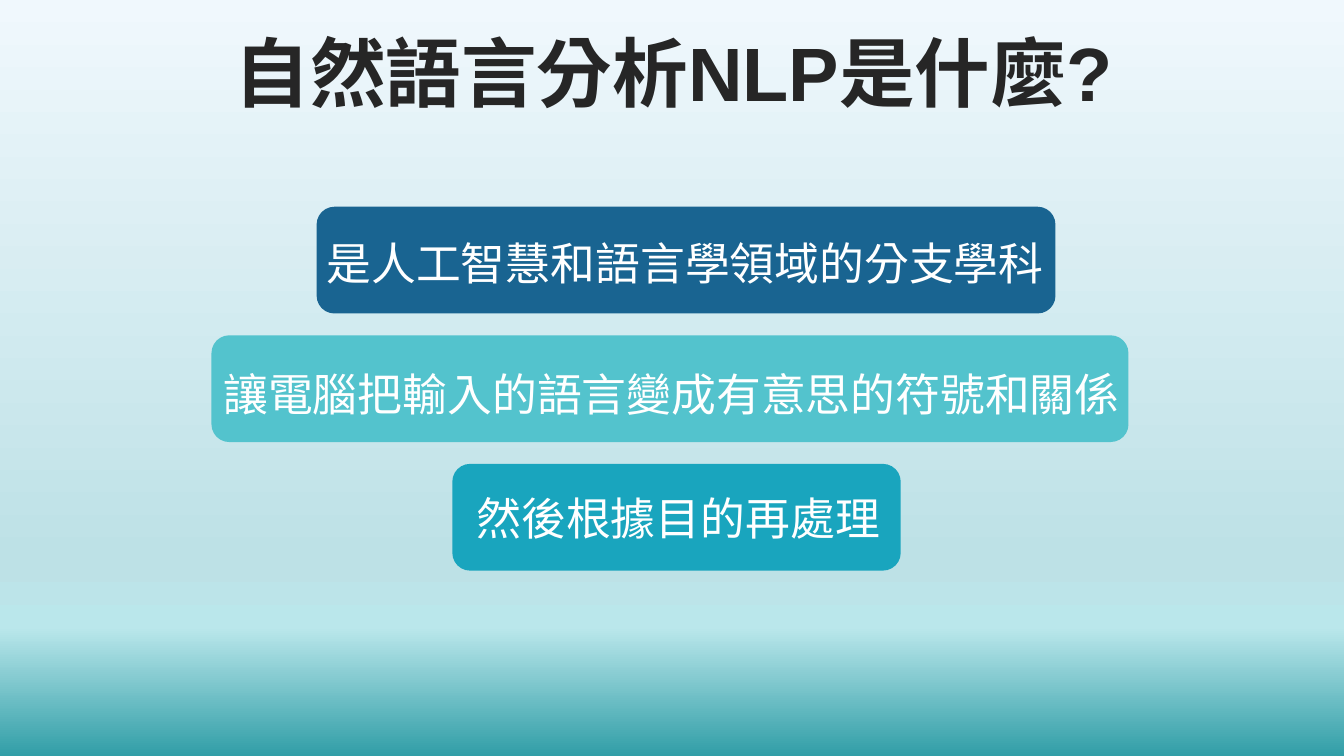
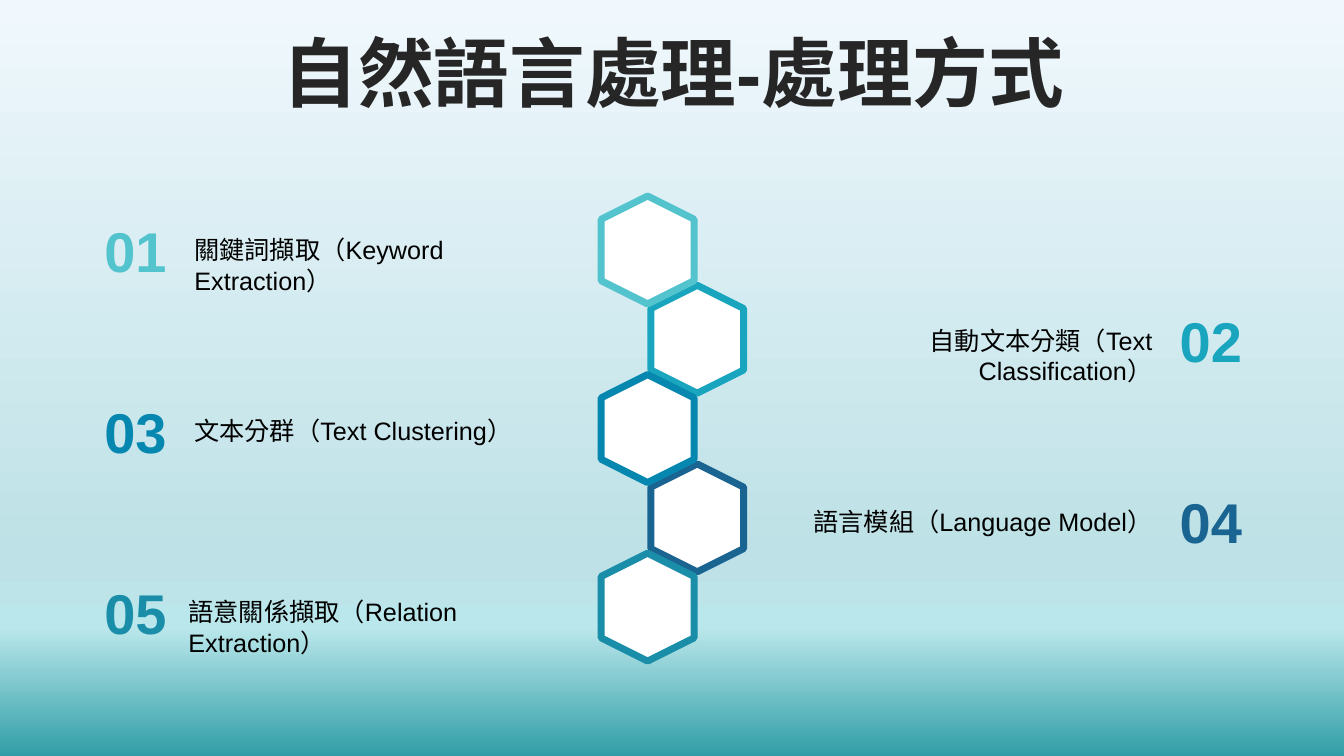
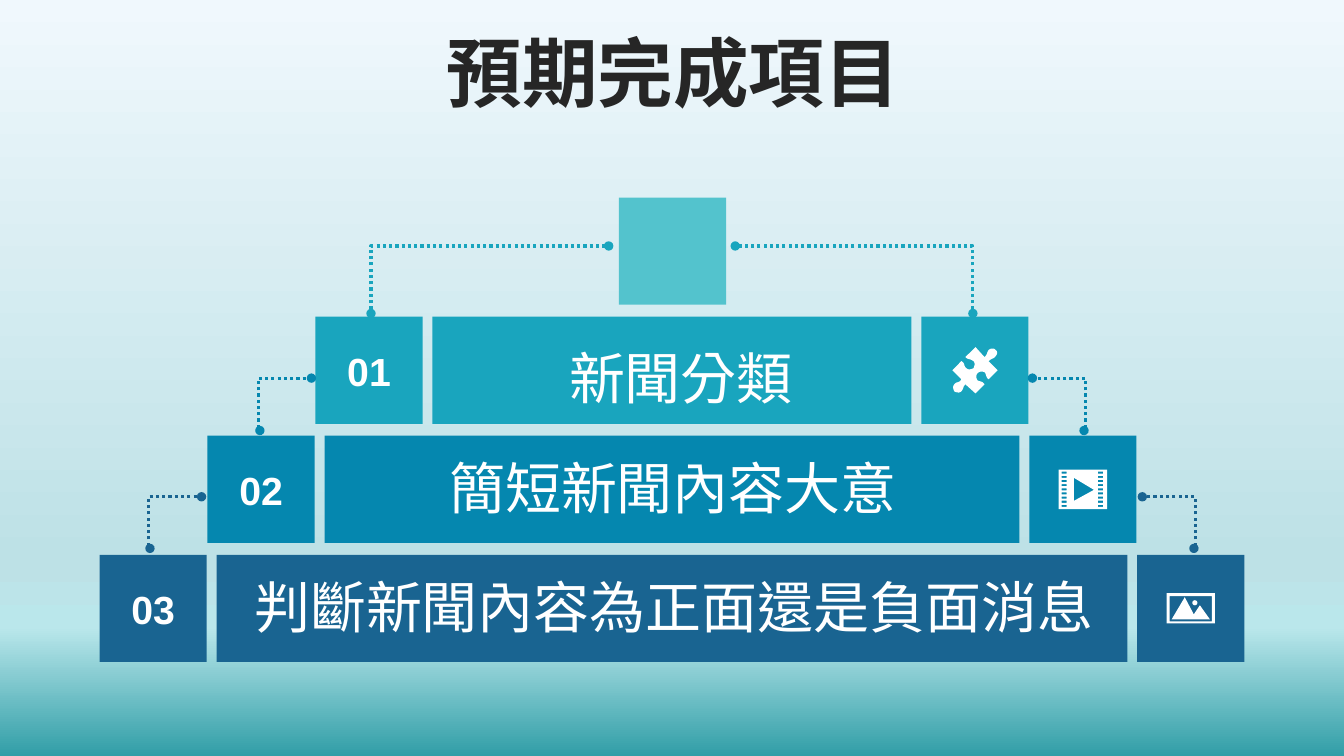
from dataclasses import dataclass
from math import cos, pi, sin
from typing import Any

from lxml import etree
from pptx import Presentation
from pptx import util as u
from pptx.dml.color import RGBColor
from pptx.enum import dml, lang, shapes, text
from pptx.oxml.ns import qn

# Shared look
COLORS = {
    "ink": "262626",
    "black": "000000",
    "white": "FFFFFF",
    "aqua": "53C3CD",
    "cyan": "19A5BE",
    "blue": "0587AF",
    "navy": "196491",
    "teal": "1A8EA9",
}
BACKGROUND_STOPS = {0: "F0F8FD", 74: "BDE1E6", 83: "BAE7EB", 100: "319EA7"}
FONT = "Arial"
SLIDE_WIDTH, SLIDE_HEIGHT = 33.87, 19.05

LEFT, CENTER, RIGHT = text.PP_ALIGN.LEFT, text.PP_ALIGN.CENTER, text.PP_ALIGN.RIGHT
TOP, MIDDLE = text.MSO_ANCHOR.TOP, text.MSO_ANCHOR.MIDDLE
GROW = text.MSO_AUTO_SIZE.SHAPE_TO_FIT_TEXT
RECTANGLE = shapes.MSO_SHAPE.RECTANGLE

Point = tuple[float, ...]


@dataclass(frozen=True)
class Box:
    """Left, top, width and height in centimetres."""
    left: float
    top: float
    width: float
    height: float

    def lengths(self) -> list[u.Length]:
        return [u.Cm(n) for n in (self.left, self.top, self.width, self.height)]


@dataclass(frozen=True)
class TextStyle:
    size: float
    color: str
    bold: bool = False
    align: Any = LEFT
    anchor: Any = TOP


TITLE = TextStyle(54, "ink", True, CENTER, MIDDLE)
BAR_TEXT = TextStyle(32, "white", anchor=MIDDLE)
ROW_TEXT = TextStyle(40, "white", align=CENTER)
ROW_NUMBER = TextStyle(28, "white", True, CENTER, MIDDLE)


def rgb(color: str) -> RGBColor:
    return RGBColor.from_string(COLORS[color])


def apply_format(target: Any, values: dict[str, Any]) -> None:
    for name, value in values.items():
        setattr(target, name, value)


def add_text(slide: Any, box: Box, words: str, style: TextStyle, grow: bool = True) -> Any:
    """Add a text box with one paragraph and return the paragraph."""
    frame = slide.shapes.add_textbox(*box.lengths()).text_frame
    apply_format(frame, {
        "word_wrap": True,
        "vertical_anchor": style.anchor,
        "auto_size": GROW if grow else text.MSO_AUTO_SIZE.NONE,
    })
    paragraph = frame.paragraphs[0]
    paragraph.alignment = style.align
    run = paragraph.add_run()
    run.text = words
    apply_format(run.font, {
        "size": u.Pt(style.size),
        "bold": style.bold,
        "name": FONT,
        "language_id": lang.MSO_LANGUAGE_ID.TRADITIONAL_CHINESE,
    })
    run.font.color.rgb = rgb(style.color)
    etree.SubElement(run.font._element, qn("a:ea"), typeface=FONT)
    return paragraph


def paint(shape: Any, fill: str, line: str | None = None) -> None:
    shape.shadow.inherit = False
    shape.fill.solid()
    shape.fill.fore_color.rgb = rgb(fill)
    if line:
        shape.line.color.rgb = rgb(line)
        shape.line.width = u.Pt(5)
    else:
        shape.line.fill.background()


def add_block(slide: Any, kind: Any, box: Box, fill: str, line: str | None = None) -> Any:
    shape = slide.shapes.add_shape(kind, *box.lengths())
    paint(shape, fill, line)
    return shape


def set_background(master: Any) -> None:
    fill = master.background.fill
    fill.gradient()
    fill.gradient_angle = 270
    stops = next(master.element.iter(qn("a:gsLst")))
    stops.clear()
    for percent, color in BACKGROUND_STOPS.items():
        stop = etree.SubElement(stops, qn("a:gs"), pos=str(percent * 1000))
        etree.SubElement(stop, qn("a:srgbClr"), val=color)


def add_titled_slide(presentation: Any, title: str) -> Any:
    slide = presentation.slides.add_slide(presentation.slide_layouts[6])
    paragraph = add_text(slide, Box(0.89, 0.94, 32.16, 2), title, TITLE, grow=False)
    apply_format(paragraph, {"line_spacing": 0.9, "space_before": u.Pt(10)})
    return slide


# Slide 1: three statements
@dataclass(frozen=True)
class Statement:
    words: str
    color: str
    left: float
    width: float
    text_left: float
    text_width: float
    text_drop: float


STATEMENTS = (
    Statement("是人工智慧和語言學領域的分支學科", "navy", 7.98, 18.62, 7.98, 18.62, 0.58),
    Statement("讓電腦把輸入的語言變成有意思的符號和關係", "aqua", 5.33, 23.11, 5.38, 23.34, 0.66),
    Statement("然後根據目的再處理", "cyan", 11.4, 11.3, 11.76, 10.95, 0.53),
)


def build_definition(presentation: Any) -> None:
    slide = add_titled_slide(presentation, "自然語言分析NLP是什麼?")
    for index, item in enumerate(STATEMENTS):
        top = 5.21 + 3.24 * index
        add_block(slide, shapes.MSO_SHAPE.ROUNDED_RECTANGLE,
                  Box(item.left, top, item.width, 2.69), item.color)
        add_text(slide, Box(item.text_left, top + item.text_drop, item.text_width, 1.63),
                 item.words, BAR_TEXT)


# Slide 2: five methods along a chain of hexagons
@dataclass(frozen=True)
class Method:
    words: str
    color: str
    label_left: float
    label_width: float


METHODS = (
    Method("關鍵詞擷取（Keyword Extraction）", "aqua", 4.65, 10.11),
    Method("自動文本分類（Text Classification）", "cyan", 19.23, 10.06),
    Method("文本分群（Text Clustering）", "blue", 4.65, 10.11),
    Method("語言模組（Language Model）", "navy", 19.23, 10.06),
    Method("語意關係擷取（Relation Extraction）", "teal", 4.5, 10.49),
)


def build_methods(presentation: Any) -> None:
    slide = add_titled_slide(presentation, "自然語言處理-處理方式")
    # The right column lies behind the left one
    for index in (3, 1, 2, 0, 4):
        left = 16.21 if index % 2 else 14.96
        hexagon = add_block(slide, shapes.MSO_SHAPE.HEXAGON,
                            Box(left, 5.13 + 2.25 * index, 2.72, 2.34),
                            "white", METHODS[index].color)
        hexagon.rotation = 90
    for index, method in enumerate(METHODS):
        on_right = index % 2 == 1
        top = 5.33 + 2.28 * index
        add_text(slide, Box(29.46 if on_right else 2.36, top, 2.11, 1.96),
                 f"{index + 1:02}", TextStyle(40, method.color, True, CENTER))
        add_text(slide, Box(method.label_left, top + 0.46, method.label_width, 1.02),
                 method.words, TextStyle(18, "black", align=RIGHT if on_right else LEFT))


# Icon outlines, in hundredths of an inch
ICON_UNIT = u.Cm(2.54) / 100


def rectangle(left: float, top: float, right: float, bottom: float) -> list[Point]:
    return [(left, top), (right, top), (right, bottom), (left, bottom)]


def circle(x: float, y: float, radius: float, steps: int = 24) -> list[Point]:
    angles = [2 * pi * step / steps for step in range(steps)]
    return [(x + radius * cos(angle), y + radius * sin(angle)) for angle in angles]


def trace(outline: tuple[Point, ...], steps: int = 8) -> list[Point]:
    """Points with two numbers are corners, with six are cubic curves."""
    points: list[Point] = []
    for entry in outline:
        if len(entry) == 2:
            points.append(entry)
            continue
        knots = (points[-1], entry[:2], entry[2:4], entry[4:])
        for step in range(1, steps + 1):
            t = step / steps
            weights = ((1 - t) ** 3, 3 * t * (1 - t) ** 2, 3 * t * t * (1 - t), t ** 3)
            points.append(tuple(
                sum(weight * knot[axis] for weight, knot in zip(weights, knots))
                for axis in (0, 1)))
    return points


PUZZLE = [trace((
    (43, 3), (45, 4, 45, 7, 43, 9), (41, 12, 39, 11, 36, 14), (45, 23), (36, 32),
    (33, 30, 34, 27, 32, 25), (30, 24, 27, 24, 25, 26), (24, 27, 23, 30, 25, 33),
    (28, 35, 29, 33, 32, 37), (23, 46), (13, 37), (10, 40, 12, 40, 9, 44),
    (7, 46, 4, 45, 2, 44), (1, 42, 0, 39, 2, 37), (4, 34, 7, 36, 9, 32), (0, 23),
    (9, 14), (13, 16, 11, 19, 14, 21), (16, 23, 19, 22, 21, 21),
    (22, 19, 23, 16, 21, 14), (17, 11, 16, 13, 13, 10), (23, 0), (32, 10),
    (35, 7, 34, 6, 36, 3), (38, 1, 42, 1, 43, 3),
))]
FILM = [
    rectangle(0, 0, 48, 39),
    [(15, 8), (15, 31), (35, 20)],
    *(rectangle(x, 2 + 4.12 * hole, x + 5, 4 + 4.12 * hole)
      for x in (3, 39) for hole in range(9)),
]
LANDSCAPE = [
    rectangle(0, 0, 48, 30),
    rectangle(3, 3, 45, 28),
    [(18, 4), (27, 21), (33, 12), (43, 26), (5, 26)],
    circle(28, 9.5, 2.5),
]


def add_icon(slide: Any, square: Box, contours: list[list[Point]]) -> None:
    """Draw the contours as one white shape in the middle of the square."""
    scaled = [[(x * ICON_UNIT, y * ICON_UNIT) for x, y in points] for points in contours]
    width, height = (max(point[axis] for points in scaled for point in points)
                     for axis in (0, 1))
    builder = slide.shapes.build_freeform(*scaled[0][0])
    for number, points in enumerate(scaled):
        if number:
            builder.move_to(*points[0])
        builder.add_line_segments(points[1:], close=True)
    left, top, side, _ = square.lengths()
    icon = builder.convert_to_shape(int(left + (side - width) / 2),
                                    int(top + (side - height) / 2))
    paint(icon, "white")


# Slide 3: pyramid of goals
@dataclass(frozen=True)
class Goal:
    words: str
    color: str
    icon: list[list[Point]]
    text_left: float
    text_width: float
    text_drop: float
    link_start: tuple[float, float]
    link_end: tuple[float, float]
    link_bend: int


GOALS = (
    Goal("新聞分類", "cyan", PUZZLE, 12.12, 10.08, 0.56, (9.35, 7.9), (15.34, 6.2), 0),
    Goal("簡短新聞內容大意", "blue", FILM, 8.69, 16.54, 0.33, (6.55, 10.85), (7.85, 9.53), -2900),
    Goal("判斷新聞內容為正面還是負面消息", "navy", LANDSCAPE, 6.02, 21.92, 0.33,
         (3.78, 13.82), (5.08, 12.52), -2900),
)
SIDE, GAP, PITCH, STEP = 2.7, 0.25, 3, 2.72
PEAK_TOP = 4.98


def add_link(slide: Any, goal: Goal, mirrored: bool) -> None:
    ends = [(SLIDE_WIDTH - x if mirrored else x, y) for x, y in (goal.link_start, goal.link_end)]
    connector = slide.shapes.add_connector(
        shapes.MSO_CONNECTOR.ELBOW, *(u.Cm(n) for end in ends for n in end))
    connector.line.color.rgb = rgb(goal.color)
    apply_format(connector.line, {"width": u.Pt(2.25), "dash_style": dml.MSO_LINE.ROUND_DOT})
    properties = connector._element.spPr
    for tag in ("a:headEnd", "a:tailEnd"):
        etree.SubElement(properties.find(qn("a:ln")), qn(tag), type="oval")
    etree.SubElement(properties, qn("a:effectLst"))
    adjustments = next(properties.iter(qn("a:avLst")))
    etree.SubElement(adjustments, qn("a:gd"), name="adj1", fmla=f"val {goal.link_bend}")


def build_goals(presentation: Any) -> None:
    slide = add_titled_slide(presentation, "預期完成項目")
    add_block(slide, RECTANGLE, Box(15.6, PEAK_TOP, SIDE, SIDE), "aqua")
    for index, goal in enumerate(GOALS):
        left, top = 7.95 - STEP * index, PEAK_TOP + PITCH * (index + 1)
        right = SLIDE_WIDTH - left - SIDE
        bar_left = left + SIDE + GAP
        icon_square = Box(right, top, SIDE, SIDE)
        bar = Box(bar_left, top, right - GAP - bar_left, SIDE)
        for box in (Box(left, top, SIDE, SIDE), bar, icon_square):
            add_block(slide, RECTANGLE, box, goal.color)
        add_text(slide, Box(left + 0.46, top + 0.64, 1.78, 1.45), f"{index + 1:02}", ROW_NUMBER)
        add_text(slide, Box(goal.text_left, top + goal.text_drop, goal.text_width, 1.96),
                 goal.words, ROW_TEXT)
        add_icon(slide, icon_square, goal.icon)
        for mirrored in (False, True):
            add_link(slide, goal, mirrored)


def main() -> None:
    presentation = Presentation()
    apply_format(presentation, {"slide_width": u.Cm(SLIDE_WIDTH),
                                "slide_height": u.Cm(SLIDE_HEIGHT)})
    set_background(presentation.slide_master)
    for build in (build_definition, build_methods, build_goals):
        build(presentation)
    presentation.save("out.pptx")


if __name__ == "__main__":
    main()
